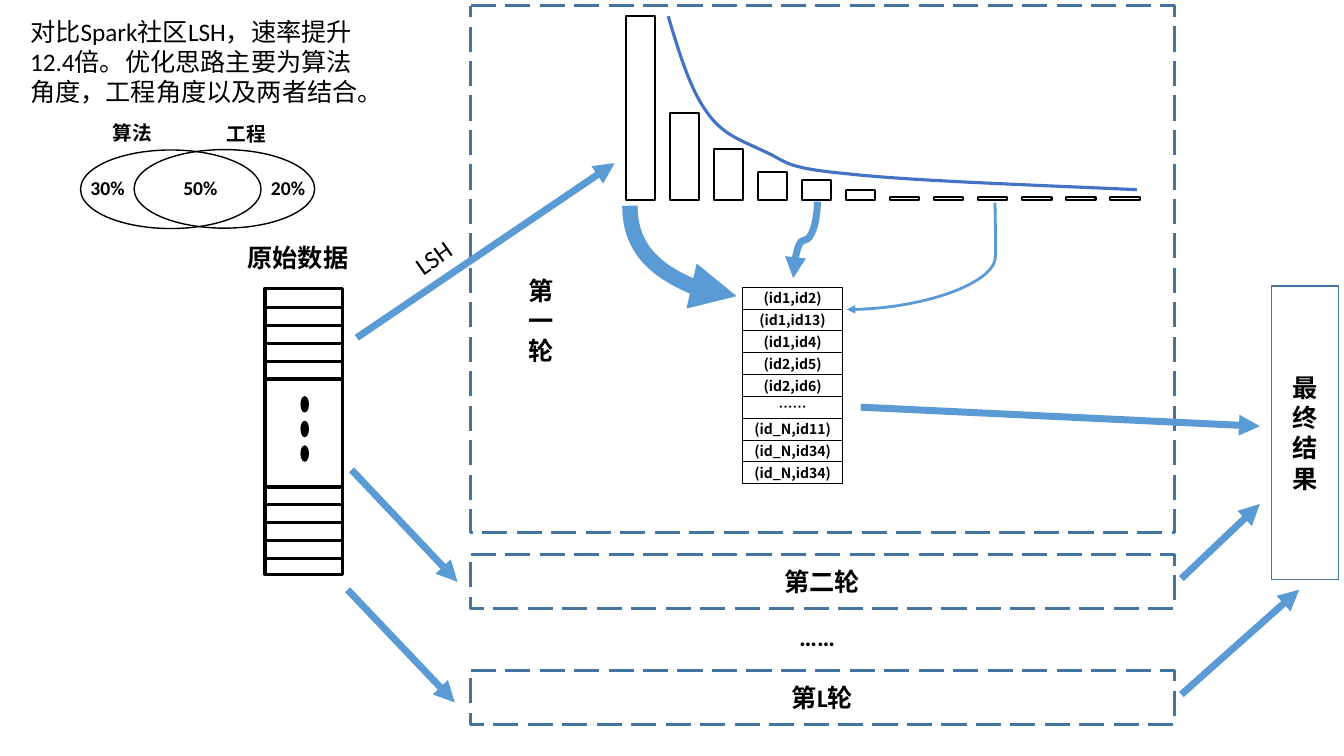
"""Build the slide on locality-sensitive hashing in repeated rounds."""
from lxml import etree
from pptx import Presentation
from pptx import util as u
from pptx.dml.color import RGBColor
from pptx.enum import dml, shapes, text
from pptx.oxml.ns import qn

BLACK, WHITE, FRAME, ARROW, DECAY = "000000", "FFFFFF", "43739E", "5B9BD5", "4472C4"
BOX = shapes.MSO_SHAPE.RECTANGLE
PROCESS = shapes.MSO_SHAPE.FLOWCHART_PROCESS
DOT = shapes.MSO_SHAPE.FLOWCHART_CONNECTOR
OVAL = shapes.MSO_SHAPE.OVAL


def colour(hex_code):
    return RGBColor.from_string(hex_code)


def outline(item, hex_code, weight):
    item.line.color.rgb = colour(hex_code)
    item.line.width = u.Pt(weight)


def write(item, lines, size, bold=True, font="Calibri", align=None):
    frame = item.text_frame
    frame.word_wrap = True
    frame.text = "\n".join(lines)
    for paragraph in frame.paragraphs:
        paragraph.alignment = align
        paragraph.font.name = font
        paragraph.font.size = u.Pt(size)
        paragraph.font.bold = bold
        paragraph.font.color.rgb = colour(BLACK)


def add_figure(slide, kind, area, line, weight, fill=WHITE):
    figure = slide.shapes.add_shape(kind, *map(u.Cm, area))
    figure.shadow.inherit = False
    if fill:
        figure.fill.solid()
        figure.fill.fore_color.rgb = colour(fill)
    else:
        figure.fill.background()
    outline(figure, line, weight)
    return figure


def add_panel(slide, area, weight, lines=(), dashed=True):
    panel = add_figure(slide, PROCESS, area, FRAME, weight)
    if dashed:
        panel.line.dash_style = dml.MSO_LINE.LONG_DASH
    if lines:
        write(panel, lines, 18, align=text.PP_ALIGN.CENTER)
        panel.text_frame.vertical_anchor = text.MSO_ANCHOR.MIDDLE


def add_label(slide, area, words, size=18, bold=True):
    label = slide.shapes.add_textbox(*map(u.Cm, area))
    write(label, [words], size, bold)
    return label


def add_line(slide, ends, hex_code, weight, kind=shapes.MSO_CONNECTOR.STRAIGHT):
    link = slide.shapes.add_connector(kind, *map(u.Cm, ends))
    outline(link, hex_code, weight)
    etree.SubElement(link._element.spPr, qn("a:effectLst"))
    return link


def add_arrow(slide, ends, weight=5, kind=shapes.MSO_CONNECTOR.STRAIGHT):
    arrow = add_line(slide, ends, ARROW, weight, kind)
    stroke = arrow._element.spPr.find(qn("a:ln"))
    etree.SubElement(stroke, qn("a:tailEnd"), type="triangle")
    return arrow


def add_curved_arrow(slide, ends, weight, turn, preset, bend=None):
    arrow = add_arrow(slide, ends, weight, shapes.MSO_CONNECTOR.CURVE)
    properties = arrow._element.spPr
    properties.find(qn("a:xfrm")).set("rot", str(turn * 60000))
    geometry = properties.find(qn("a:prstGeom"))
    geometry.set("prst", preset)
    if bend is not None:
        adjustments = geometry.find(qn("a:avLst"))
        etree.SubElement(adjustments, qn("a:gd"), name="adj1", fmla=f"val {bend}")


def add_decay_curve(slide, start, controls):
    builder = slide.shapes.build_freeform(*map(u.Cm, start))
    builder.add_line_segments([(u.Cm(x), u.Cm(y)) for x, y in controls], close=False)
    curve = builder.convert_to_shape()
    curve.shadow.inherit = False
    curve.fill.background()
    outline(curve, DECAY, 2.25)
    track = curve._element.find(".//" + qn("a:path"))
    steps = track.findall(qn("a:lnTo"))
    for first in range(0, len(steps), 3):
        bezier = etree.SubElement(track, qn("a:cubicBezTo"))
        for step in steps[first:first + 3]:
            bezier.append(step[0])
            track.remove(step)


def add_raw_data(slide):
    add_figure(slide, BOX, (6.68, 7.26, 1.96, 7.21), BLACK, 2.25)
    for top in (7.75, 12.27):
        for row in range(5):
            y = top + 0.45 * row
            add_line(slide, (6.69, y, 8.65, y), BLACK, 2.25)
    for row in range(3):
        add_figure(slide, DOT, (7.59, 10 + 0.62 * row, 0.18, 0.38), BLACK, 1, BLACK)


def add_buckets(slide):
    heights = [4.65, 2.21, 1.3, 0.72, 0.52, 0.26] + [0.08] * 6
    for column, height in enumerate(heights):
        area = (15.77 + 1.11 * column, 5.05 - height, 0.74, height)
        add_figure(slide, BOX, area, BLACK, 1.5)
    add_decay_curve(slide, (16.84, 0.41), [
        (17.12, 1.35), (17.4, 2.26), (17.81, 2.82),
        (18.21, 3.4), (18.67, 3.53), (19.25, 3.81),
        (19.84, 4.06), (19.69, 4.22), (21.26, 4.37),
        (22.83, 4.55), (25.73, 4.65), (28.65, 4.78)])


def add_pairs(slide):
    pairs = ["(id1,id2)", "(id1,id13)", "(id1,id4)", "(id2,id5)", "(id2,id6)",
             "……", "(id_N,id11)", "(id_N,id34)", "(id_N,id34)"]
    for row, pair in enumerate(pairs):
        area = (18.72, 7.24 + 0.55 * row, 2.51, 0.55)
        cell = add_figure(slide, BOX, area, BLACK, 0.75, None)
        write(cell, [pair], 10, font="Noto Sans CJK SC", align=text.PP_ALIGN.CENTER)
        frame = cell.text_frame
        frame.vertical_anchor = text.MSO_ANCHOR.MIDDLE
        frame.margin_top = frame.margin_bottom = 0
        frame.margin_left = frame.margin_right = 0


def add_speedup_shares(slide):
    add_figure(slide, OVAL, (2.03, 3.78, 4.55, 1.98), BLACK, 1)
    add_figure(slide, OVAL, (3.38, 3.77, 4.55, 1.98), BLACK, 1, None)
    for x, y, words in [(2.59, 2.93, "算法"), (5.46, 2.95, "工程"),
                        (2.03, 4.32, "30%"), (4.37, 4.32, "50%"), (6.58, 4.32, "20%")]:
        add_label(slide, (x, y, 2.49, 0.86), words, 14)


def main():
    deck = Presentation()
    deck.slide_width, deck.slide_height = u.Cm(33.87), u.Cm(19.05)
    slide = deck.slides.add_slide(deck.slide_layouts[6])

    add_panel(slide, (11.86, 0.15, 17.73, 13.26), 2.25)
    add_raw_data(slide)
    add_buckets(slide)
    add_pairs(slide)
    add_curved_arrow(slide, (18.36, 4.98, 16.08, 7.67), 11, 270, "curvedConnector2")
    add_curved_arrow(slide, (19.33, 5.74, 21.26, 6.35), 5, 90, "curvedConnector3", 50000)
    add_curved_arrow(slide, (21.34, 7.8, 25.07, 5.11), 2, 180, "curvedConnector3", -500)

    add_panel(slide, (32.05, 7.21, 1.68, 7.39), 1, "最终结果", dashed=False)
    add_label(slide, (13.06, 6.81, 1.17, 2.57), "第一轮")
    for y, words in [(13.97, "第二轮"), (16.89, "第L轮")]:
        add_panel(slide, (11.86, y, 17.73, 1.37), 2.25, [words])
    add_label(slide, (19.89, 15.52, 3.12, 1.02), "……")

    for ends in [(21.69, 10.26, 31.75, 10.74), (29.77, 14.58, 31.75, 12.7),
                 (29.77, 17.5, 32.74, 14.86), (8.86, 11.84, 11.53, 14.66),
                 (8.76, 14.86, 11.46, 17.7), (8.99, 8.51, 15.49, 4.11)]:
        add_arrow(slide, ends)
    add_label(slide, (10.11, 5.74, 2.29, 1.02), "LSH", bold=False).rotation = 324.7

    add_label(slide, (5.99, 5.99, 3.35, 1.02), "原始数据")
    add_label(slide, (0.51, 0.28, 9.19, 2.57),
              "对比Spark社区LSH，速率提升12.4倍。优化思路主要为算法角度，工程角度以及两者结合。",
              bold=False)
    add_speedup_shares(slide)
    deck.save("out.pptx")


if __name__ == "__main__":
    main()
